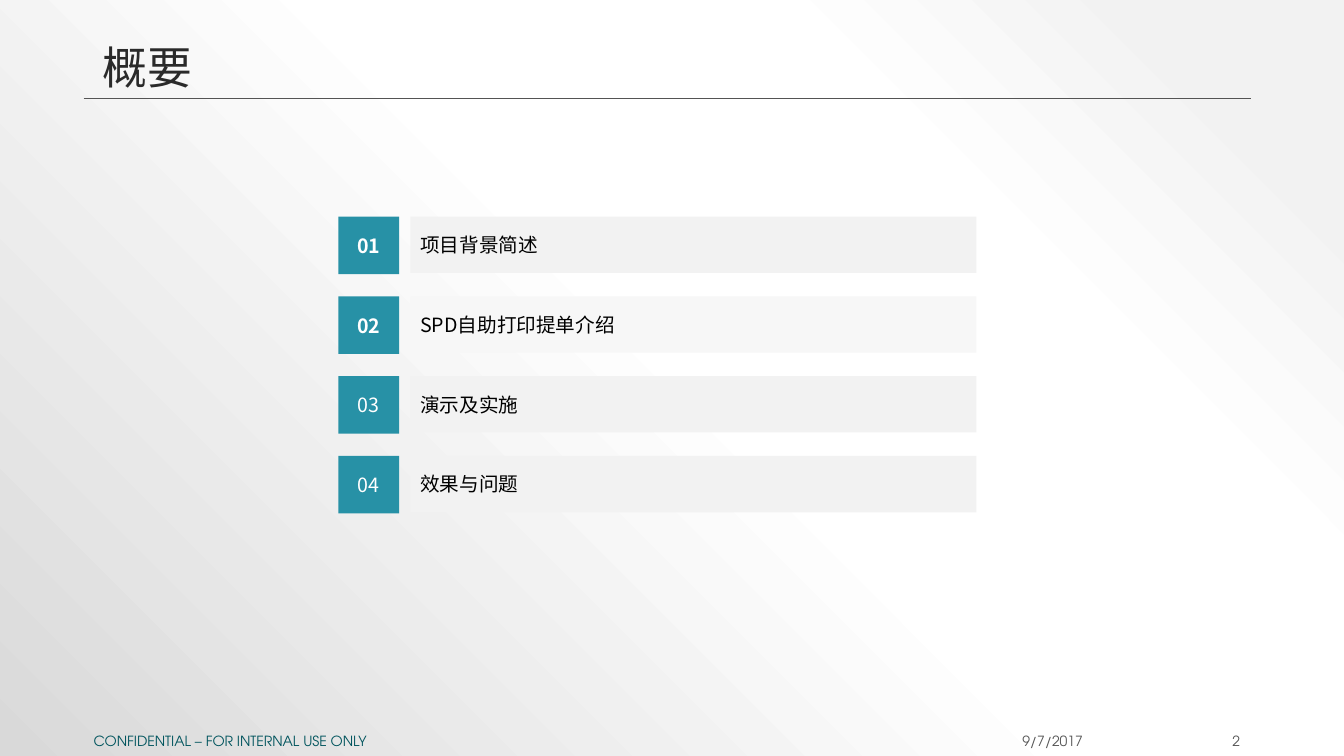
"""Build the overview slide: a title, four numbered agenda rows and a footer."""
from dataclasses import dataclass

from pptx import Presentation, oxml
from pptx import util as u
from pptx.dml import color
from pptx.enum import shapes, text
from pptx.oxml import ns


@dataclass(frozen=True)
class Theme:
    title_ink: str = "2A2A2A"
    footer_ink: str = "545454"
    notice_ink: str = "00545D"
    topic_ink: str = "000000"
    number_ink: str = "FFFFFF"
    number_fill: str = "2791A6"
    row_fill: str = "F2F2F2"
    row_fill_light: str = "F7F7F7"
    backdrop: tuple = ((10, "F2F2F2"), (28, "FFFFFF"), (48, "FFFFFF"), (100, "D9D9D9"))
    title_font: str = "Calibri"
    body_font: str = "Noto Sans CJK SC"
    footer_font: str = "TeX Gyre Adventor"
    title_size: int = 32
    body_size: int = 14
    footer_size: int = 10


THEME = Theme()
ALIGN = text.PP_ALIGN
ANCHOR = text.MSO_ANCHOR


@dataclass(frozen=True)
class Box:
    left: float
    top: float
    width: float
    height: float

    def lengths(self) -> list:
        return [u.Cm(side) for side in (self.left, self.top, self.width, self.height)]


@dataclass(frozen=True)
class Style:
    font: str
    size: int
    ink: str
    align: ALIGN = ALIGN.LEFT
    anchor: ANCHOR = ANCHOR.MIDDLE
    bold: bool = False
    wrap: bool = True
    spacing: float = 1.0


@dataclass(frozen=True)
class Topic:
    title: str
    fill: str = THEME.row_fill
    bold_number: bool = False


@dataclass(frozen=True)
class FooterItem:
    wording: str
    left: float
    width: float
    ink: str = THEME.footer_ink
    align: ALIGN = ALIGN.RIGHT


TOPICS = (
    Topic("项目背景简述", bold_number=True),
    Topic("SPD自助打印提单介绍", THEME.row_fill_light, True),
    Topic("演示及实施"),
    Topic("效果与问题"),
)
FOOTER = (
    FooterItem("CONFIDENTIAL – FOR INTERNAL USE ONLY", 2.11, 21.08, THEME.notice_ink, ALIGN.LEFT),
    FooterItem("9/7/2017", 23.65, 3.89),
    FooterItem("2", 28.32, 3.18),
)
FIRST_ROW_TOP, ROW_PITCH = 5.46, 2.01


def write(frame, wording: str, style: Style) -> None:
    frame.word_wrap = style.wrap
    frame.vertical_anchor = style.anchor
    paragraph = frame.paragraphs[0]
    paragraph.alignment = style.align
    paragraph.line_spacing = style.spacing
    run = paragraph.add_run()
    run.text = wording
    run.font.name = style.font
    run.font.size = u.Pt(style.size)
    run.font.bold = style.bold
    run.font.color.rgb = color.RGBColor.from_string(style.ink)
    east_asian = oxml.parse_xml(f'<a:ea {ns.nsdecls("a")} typeface="{THEME.body_font}"/>')
    run.font._element.find(ns.qn("a:latin")).addnext(east_asian)


def add_label(slide, box: Box, wording: str, style: Style) -> None:
    write(slide.shapes.add_textbox(*box.lengths()).text_frame, wording, style)


def add_tile(slide, box: Box, fill: str, wording: str, style: Style) -> None:
    tile = slide.shapes.add_shape(shapes.MSO_SHAPE.RECTANGLE, *box.lengths())
    tile.shadow.inherit = False
    tile.fill.solid()
    tile.fill.fore_color.rgb = color.RGBColor.from_string(fill)
    tile.line.fill.background()
    write(tile.text_frame, wording, style)


def add_topic(slide, position: int, topic: Topic) -> None:
    top = FIRST_ROW_TOP + position * ROW_PITCH
    number_style = Style(THEME.body_font, THEME.body_size, THEME.number_ink,
                         ALIGN.CENTER, bold=topic.bold_number, wrap=False)
    topic_style = Style(THEME.body_font, THEME.body_size, THEME.topic_ink)
    add_tile(slide, Box(8.53, top, 1.53, 1.45), THEME.number_fill, f"{position + 1:02}", number_style)
    add_tile(slide, Box(10.34, top, 14.27, 1.42), topic.fill, topic.title, topic_style)


def add_title_rule(slide) -> None:
    rule = slide.shapes.add_connector(
        shapes.MSO_CONNECTOR.STRAIGHT, u.Cm(2.11), u.Cm(2.49), u.Cm(31.52), u.Cm(2.49))
    rule.line.color.rgb = color.RGBColor.from_string(THEME.footer_ink)
    rule.line.width = u.Pt(0.5)
    rule._element.spPr.append(oxml.parse_xml(f'<a:effectLst {ns.nsdecls("a")}/>'))


def paint_backdrop(slide) -> None:
    stops = "".join(f'<a:gs pos="{place * 1000}"><a:srgbClr val="{tint}"/></a:gs>'
                    for place, tint in THEME.backdrop)
    backdrop = oxml.parse_xml(
        f'<p:bg {ns.nsdecls("p", "a")}><p:bgPr><a:gradFill rotWithShape="1">'
        f'<a:gsLst>{stops}</a:gsLst><a:path path="circle">'
        '<a:fillToRect l="100000" t="0" r="0" b="100000"/></a:path>'
        '</a:gradFill><a:effectLst/></p:bgPr></p:bg>')
    slide.element.cSld.insert(0, backdrop)


def build() -> None:
    deck = Presentation()
    deck.slide_width, deck.slide_height = u.Cm(33.87), u.Cm(19.05)
    slide = deck.slides.add_slide(deck.slide_layouts[6])
    paint_backdrop(slide)
    add_title_rule(slide)
    add_label(slide, Box(2.34, 0.53, 29.21, 1.96), "概要",
              Style(THEME.title_font, THEME.title_size, THEME.title_ink,
                    anchor=ANCHOR.BOTTOM, spacing=0.9))
    for position, topic in enumerate(TOPICS):
        add_topic(slide, position, topic)
    for item in FOOTER:
        add_label(slide, Box(item.left, 18.42, item.width, 0.51), item.wording,
                  Style(THEME.footer_font, THEME.footer_size, item.ink, item.align))
    deck.save("out.pptx")


build()
